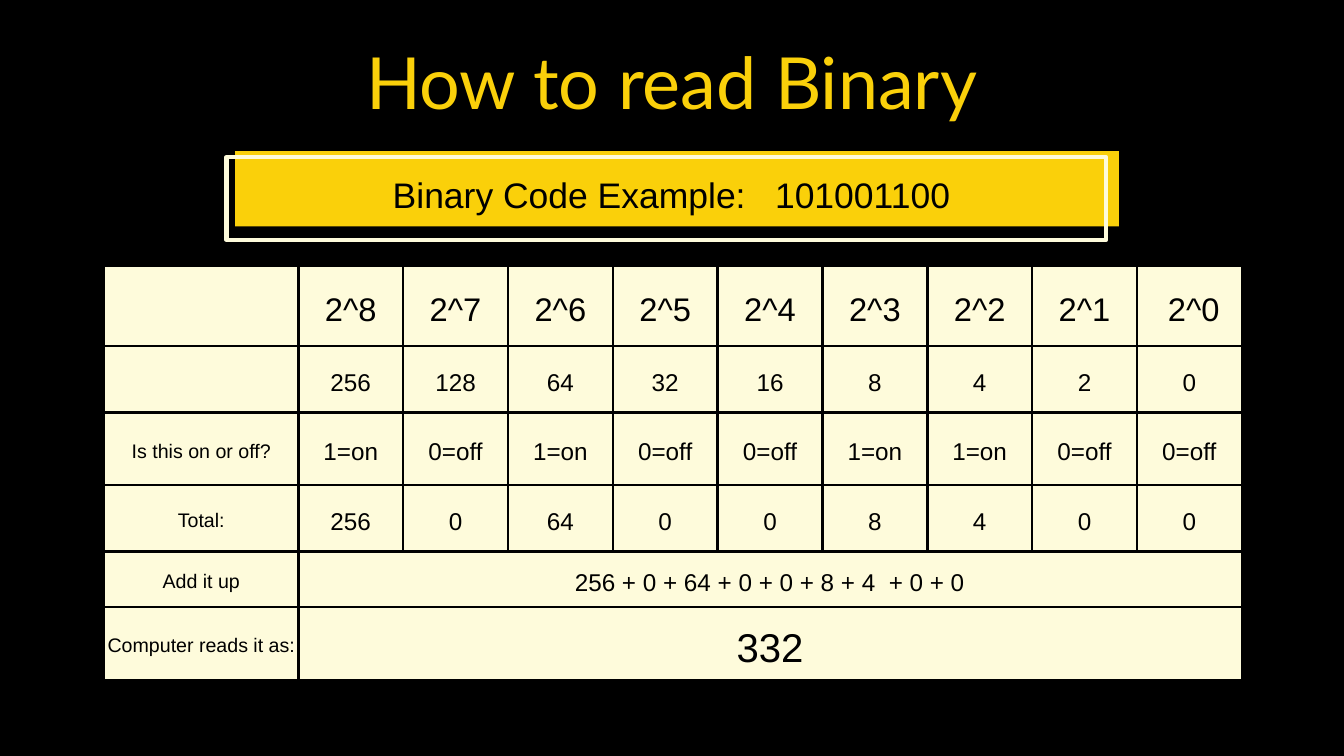
from dataclasses import dataclass

from lxml.etree import SubElement
from pptx import Presentation
from pptx.dml.color import RGBColor
from pptx.enum.shapes import MSO_SHAPE
from pptx.enum.text import MSO_ANCHOR, MSO_AUTO_SIZE, PP_ALIGN
from pptx.oxml.ns import qn
from pptx.util import Inches, Pt


@dataclass(frozen=True)
class Theme:
    black: RGBColor = RGBColor.from_string("000000")
    yellow: RGBColor = RGBColor.from_string("FAD00A")
    cream: RGBColor = RGBColor.from_string("FEFBDB")
    title_font: str = "Lato"
    body_font: str = "Arial"
    title_size: float = 77
    banner_size: float = 38
    power_size: float = 35
    value_size: float = 26
    label_size: float = 21
    result_size: float = 43
    title_spacing: float = 0.93
    body_spacing: float = 1.4
    border_width: float = 3
    frame_width: float = 4.5


THEME = Theme()

COLUMN_WIDTHS = [2.89] + [1.56] * 9
ROW_HEIGHTS = [1.2, 0.99, 1.08, 0.99, 0.82, 1.09]
DIGIT_ROWS = [
    ("", ["2^8", "2^7", "2^6", "2^5", "2^4", "2^3", "2^2", "2^1", " 2^0"], THEME.power_size),
    ("", ["256", "128", "64", "32", "16", "8", "4", "2", "0"], THEME.value_size),
    (
        "Is this on or off?",
        ["1=on" if bit == "1" else "0=off" for bit in "101001100"],
        THEME.value_size,
    ),
    ("Total:", ["256", "0", "64", "0", "0", "8", "4", "0", "0"], THEME.value_size),
]
SUMMARY_ROWS = [
    ("Add it up", "256 + 0 + 64 + 0 + 0 + 8 + 4  + 0 + 0", THEME.value_size),
    ("Computer reads it as:", "332", THEME.result_size),
]


def write_text(frame, text, size, font, color, spacing):
    paragraph = frame.paragraphs[0]
    paragraph.text = text
    paragraph.alignment = PP_ALIGN.CENTER
    paragraph.line_spacing = Pt(size * spacing)
    paragraph.font.size = Pt(size)
    paragraph.font.name = font
    paragraph.font.color.rgb = color


def add_text(slide, box, *style):
    frame = slide.shapes.add_textbox(*map(Inches, box)).text_frame
    frame.word_wrap = True
    frame.auto_size = MSO_AUTO_SIZE.SHAPE_TO_FIT_TEXT
    frame.margin_left = frame.margin_top = frame.margin_right = frame.margin_bottom = 0
    write_text(frame, *style)


def add_rectangle(slide, box, fill=None, line=None):
    shape = slide.shapes.add_shape(MSO_SHAPE.RECTANGLE, *map(Inches, box))
    shape.shadow.inherit = False
    if fill is None:
        shape.fill.background()
    else:
        shape.fill.solid()
        shape.fill.fore_color.rgb = fill
    if line is None:
        shape.line.fill.background()
    else:
        shape.line.color.rgb = line
        shape.line.width = Pt(THEME.frame_width)


def add_borders(cell):
    properties = cell._tc.get_or_add_tcPr()
    for side in ("L", "R", "T", "B"):
        border = SubElement(properties, qn(f"a:ln{side}"), w=str(Pt(THEME.border_width)))
        fill = SubElement(border, qn("a:solidFill"))
        SubElement(fill, qn("a:srgbClr"), val=str(THEME.black))


def style_cell(cell):
    add_borders(cell)
    cell.fill.solid()
    cell.fill.fore_color.rgb = THEME.cream
    cell.vertical_anchor = MSO_ANCHOR.MIDDLE
    cell.margin_left = cell.margin_top = Inches(0.05)
    cell.margin_right = cell.margin_bottom = Inches(0.05)


def write_cell(cell, text, size):
    if text:
        write_text(cell.text_frame, text, size, THEME.body_font, THEME.black, THEME.body_spacing)


def add_binary_table(slide):
    table = slide.shapes.add_table(
        len(ROW_HEIGHTS), len(COLUMN_WIDTHS),
        Inches(1.55), Inches(3.95), Inches(sum(COLUMN_WIDTHS)), Inches(sum(ROW_HEIGHTS)),
    ).table
    table.first_row = table.horz_banding = False
    for column, width in zip(table.columns, COLUMN_WIDTHS):
        column.width = Inches(width)
    for row, height in zip(table.rows, ROW_HEIGHTS):
        row.height = Inches(height)
    for cell in table.iter_cells():
        style_cell(cell)

    for row, (label, values, size) in enumerate(DIGIT_ROWS):
        write_cell(table.cell(row, 0), label, THEME.label_size)
        for column, value in enumerate(values, start=1):
            write_cell(table.cell(row, column), value, size)

    last_column = len(COLUMN_WIDTHS) - 1
    for row, (label, summary, size) in enumerate(SUMMARY_ROWS, start=len(DIGIT_ROWS)):
        write_cell(table.cell(row, 0), label, THEME.label_size)
        table.cell(row, 1).merge(table.cell(row, last_column))
        write_cell(table.cell(row, 1), summary, size)


def add_banner(slide):
    add_rectangle(slide, (3.5, 2.25, 13.15, 1.12), fill=THEME.yellow)
    add_rectangle(slide, (3.37, 2.34, 13.09, 1.23), line=THEME.cream)
    add_text(
        slide, (4.1, 2.47, 11.79, 0.71), "Binary Code Example:   101001100",
        THEME.banner_size, THEME.body_font, THEME.black, THEME.body_spacing,
    )


def main():
    presentation = Presentation()
    presentation.slide_width = Inches(20)
    presentation.slide_height = Inches(11.25)
    slide = presentation.slides.add_slide(presentation.slide_layouts[6])
    slide.background.fill.solid()
    slide.background.fill.fore_color.rgb = THEME.black

    add_binary_table(slide)
    add_text(
        slide, (1.12, 0.85, 17.75, 1.22), "How to read Binary",
        THEME.title_size, THEME.title_font, THEME.yellow, THEME.title_spacing,
    )
    add_banner(slide)
    presentation.save("out.pptx")


if __name__ == "__main__":
    main()
